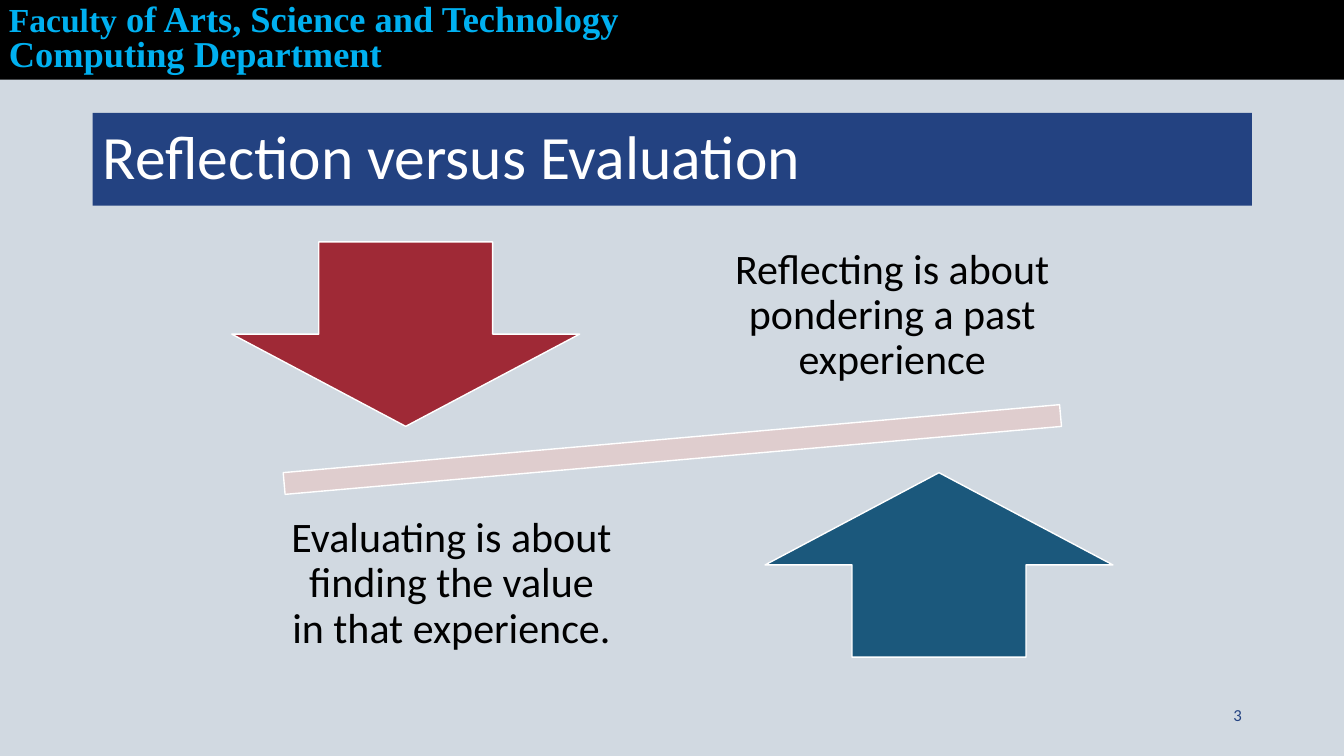
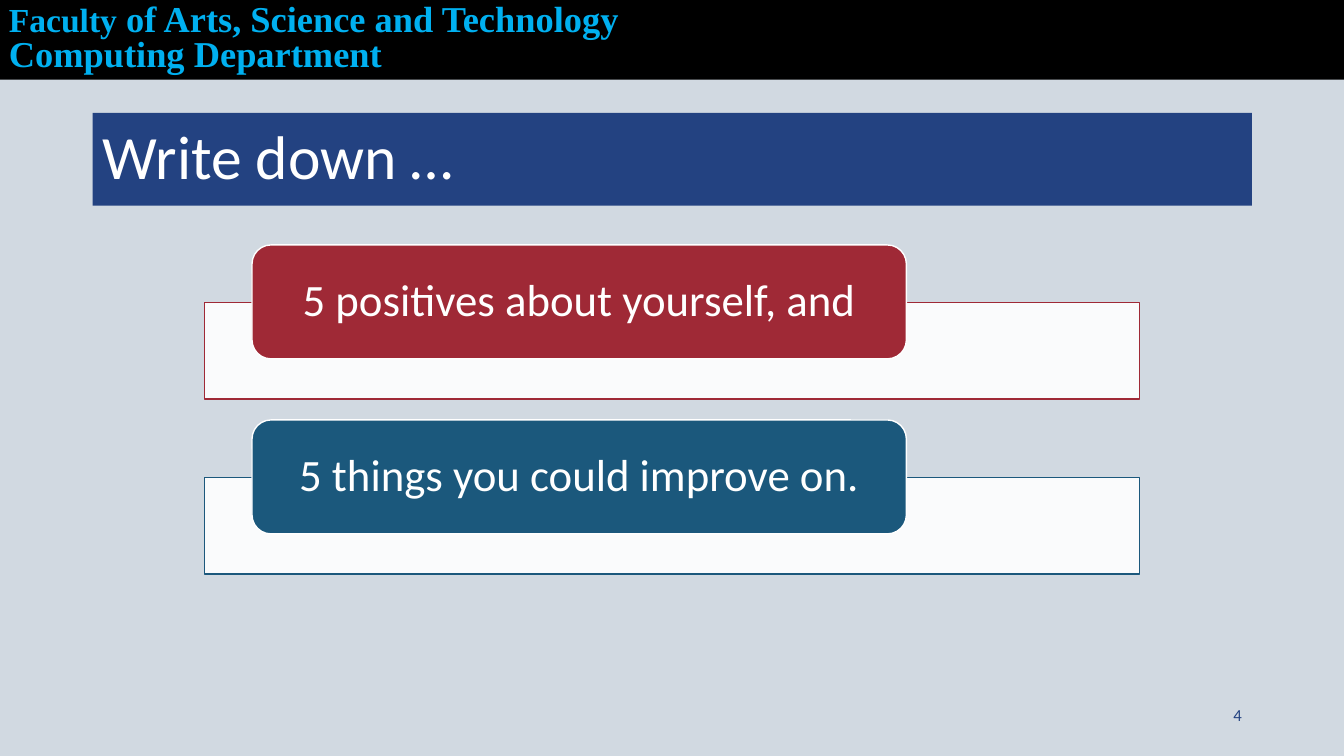
"""Build two coaching slides that share a faculty band and a title style."""
from dataclasses import dataclass

from lxml.etree import SubElement
from pptx import Presentation
from pptx.dml.color import RGBColor
from pptx.enum.shapes import MSO_SHAPE
from pptx.enum.text import MSO_ANCHOR, MSO_AUTO_SIZE, PP_ALIGN
from pptx.oxml.ns import qn
from pptx.util import Inches, Pt

SLIDE_WIDTH, SLIDE_HEIGHT = Inches(13.333), Inches(7.5)
PALE, NAVY, RED, TEAL = "D1D9E1", "234281", "9F2936", "1B587C"
ROSE, SKY, WHITE, BLACK = "DFCDCE", "00B0F0", "FFFFFF", "000000"


@dataclass(frozen=True)
class Box:
    """Hold a place as percentages of the slide's size."""
    left: float
    top: float
    width: float
    height: float

    def down(self, distance):
        """Return the same box moved down."""
        return Box(self.left, self.top + distance, self.width, self.height)

    def lengths(self):
        """Return left, top, width and height as slide lengths."""
        return [int(share * full / 100) for share, full in (
            (self.left, SLIDE_WIDTH), (self.top, SLIDE_HEIGHT),
            (self.width, SLIDE_WIDTH), (self.height, SLIDE_HEIGHT))]


@dataclass(frozen=True)
class Side:
    """Describe one side of the balance: an arrow and its statement."""
    arrow: MSO_SHAPE
    arrow_box: Box
    colour: str
    statement: str
    statement_box: Box


@dataclass(frozen=True)
class Task:
    """Describe one writing task."""
    wording: str
    colour: str


BAND = Box(0, 0, 100, 10.53)
FACULTY = Box(-0.08, 0, 51.45, 11.87)
TITLE = Box(6.9, 14.93, 86.25, 12.27)
NUMBER = Box(70.65, 91.87, 22.5, 5.33)
BEAM = Box(10.58, 53.33, 78.9, 12.27)
PANEL = Box(15.23, 40, 69.54, 12.8)
TAB = Box(18.75, 32.4, 48.69, 15.07)
TASK_PITCH = 23.15

SIDES = (
    Side(MSO_SHAPE.DOWN_ARROW, Box(17.25, 32, 25.88, 24.4), RED,
         "Reflecting is about pondering a past experience",
         Box(52.59, 28.93, 27.6, 25.73)),
    Side(MSO_SHAPE.UP_ARROW, Box(56.93, 62.53, 25.88, 24.4), TEAL,
         "Evaluating is about finding the value in that experience.",
         Box(19.8, 64.4, 27.6, 25.73)),
)
TASKS = (Task("5 positives about yourself, and", RED),
         Task("5 things you could improve on.", TEAL))


def rgb(value: str) -> RGBColor:
    """Turn a hex string into a colour."""
    return RGBColor.from_string(value)


def write(shape, *lines, size=30, colour=BLACK, font="Calibri", bold=False,
          align=PP_ALIGN.CENTER, anchor=MSO_ANCHOR.MIDDLE, spacing=0.9,
          inset=(0.1, 0.05)):
    """Write lines, each a string or a list of (text, size) runs."""
    frame = shape.text_frame
    frame.word_wrap = True
    frame.auto_size = MSO_AUTO_SIZE.NONE
    frame.vertical_anchor = anchor
    frame.margin_left = frame.margin_right = Inches(inset[0])
    frame.margin_top = frame.margin_bottom = Inches(inset[1])
    for index, line in enumerate(lines):
        paragraph = frame.add_paragraph() if index else frame.paragraphs[0]
        paragraph.alignment = align
        paragraph.line_spacing = spacing
        for text, points in [(line, size)] if isinstance(line, str) else line:
            run = paragraph.add_run()
            run.text = text
            run.font.name, run.font.size, run.font.bold = font, Pt(points), bold
            run.font.color.rgb = rgb(colour)


def add_text(slide, box: Box, *lines, **style):
    """Add a text box and write in it."""
    area = slide.shapes.add_textbox(*box.lengths())
    write(area, *lines, **style)
    return area


def add_block(slide, kind: MSO_SHAPE, box: Box, fill: str, line=None, alpha=None):
    """Add a flat preset shape."""
    block = slide.shapes.add_shape(kind, *box.lengths())
    block.shadow.inherit = False
    block.fill.solid()
    block.fill.fore_color.rgb = rgb(fill)
    if alpha is not None:
        tint = block.fill._xPr.find(qn("a:solidFill"))[0]
        SubElement(tint, qn("a:alpha")).set("val", str(alpha * 1000))
    if line:
        block.line.color.rgb = rgb(line)
        block.line.width = Pt(1)
    else:
        block.line.fill.background()
    return block


def style_layout(slide, layout):
    """Give the layout its background and faculty band."""
    layout.background.fill.solid()
    layout.background.fill.fore_color.rgb = rgb(PALE)
    band = add_block(slide, MSO_SHAPE.RECTANGLE, BAND, BLACK)
    faculty = add_text(
        slide, FACULTY,
        [("Faculty", 24), (" of Arts, Science and Technology", 26)],
        "Computing Department", size=26, colour=SKY, font="Times New Roman",
        bold=True, align=PP_ALIGN.LEFT, anchor=MSO_ANCHOR.TOP, spacing=0.8)
    for part in (band, faculty):
        layout.shapes.element.append(part.element)


def add_slide(deck, layout, title: str, number: int):
    """Add a slide with its title and number."""
    slide = deck.slides.add_slide(layout)
    heading = slide.shapes.title
    heading.left, heading.top, heading.width, heading.height = TITLE.lengths()
    heading.fill.solid()
    heading.fill.fore_color.rgb = rgb(NAVY)
    write(heading, title, size=44, colour=WHITE, align=PP_ALIGN.LEFT)
    add_text(slide, NUMBER, str(number), size=12, colour=NAVY,
             align=PP_ALIGN.RIGHT, spacing=1.0)
    return slide


def draw_balance(slide):
    """Draw the tilted beam with an arrow and a statement on each side."""
    beam = add_block(slide, MSO_SHAPE.MATH_MINUS, BEAM, ROSE, WHITE)
    beam.rotation = 355
    for side in SIDES:
        add_block(slide, side.arrow, side.arrow_box, side.colour, WHITE)
        add_text(slide, side.statement_box, side.statement, inset=(0.23, 0.23))


def draw_tasks(slide):
    """Draw each task as a tab over a pale panel."""
    for row, task in enumerate(TASKS):
        drop = row * TASK_PITCH
        add_block(slide, MSO_SHAPE.RECTANGLE, PANEL.down(drop), WHITE,
                  task.colour, alpha=90)
        tab = add_block(slide, MSO_SHAPE.ROUNDED_RECTANGLE, TAB.down(drop),
                        task.colour, WHITE)
        write(tab, task.wording, size=32, colour=WHITE, inset=(0.25, 0))


def main():
    """Build and save the deck."""
    deck = Presentation()
    deck.slide_width, deck.slide_height = SLIDE_WIDTH, SLIDE_HEIGHT
    layout = deck.slide_layouts.get_by_name("Title Only")
    comparison = add_slide(deck, layout, "Reflection versus Evaluation", 3)
    style_layout(comparison, layout)
    draw_balance(comparison)
    draw_tasks(add_slide(deck, layout, "Write down …", 4))
    deck.save("out.pptx")


if __name__ == "__main__":
    main()
